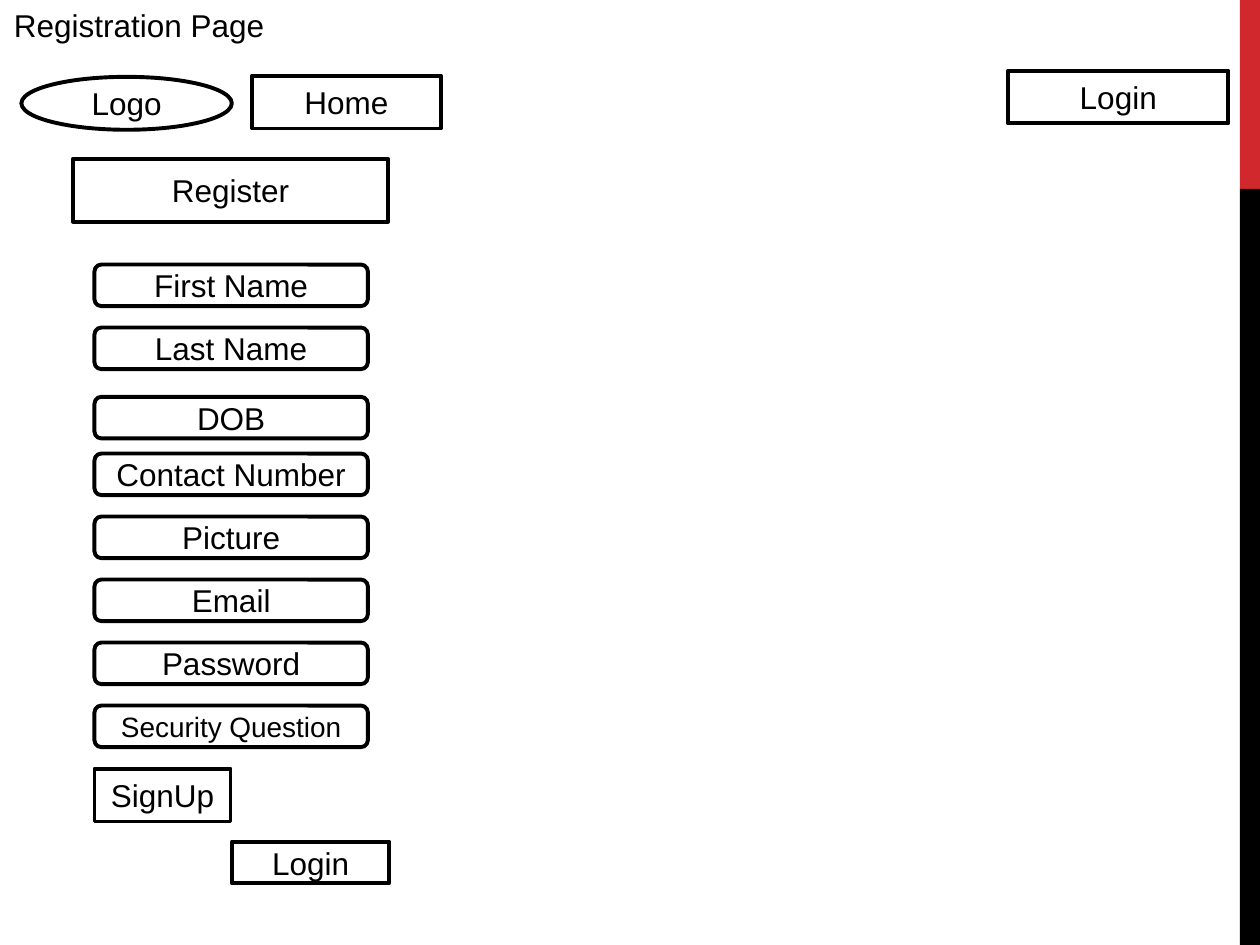
from pptx import Presentation
from pptx.dml.color import RGBColor
from pptx.enum.shapes import MSO_SHAPE
from pptx.enum.text import MSO_ANCHOR, MSO_AUTO_SIZE, PP_ALIGN
from pptx.util import Inches, Pt

RECT = MSO_SHAPE.RECTANGLE
ROUND = MSO_SHAPE.ROUNDED_RECTANGLE
OVAL = MSO_SHAPE.OVAL
CENTER = PP_ALIGN.CENTER
TOP, MIDDLE = MSO_ANCHOR.TOP, MSO_ANCHOR.MIDDLE
NO_FIT = MSO_AUTO_SIZE.NONE

COLORS = {"paper": "FFFFFF", "ink": "000000", "red": "D1282E"}


def color(name):
    return RGBColor.from_string(COLORS[name])


def write(frame, text, size=18, anchor=MIDDLE, wrap=True):
    """Put one centred line of text in a frame."""
    frame.auto_size = NO_FIT
    frame.word_wrap = wrap
    frame.vertical_anchor = anchor
    para = frame.paragraphs[0]
    para.alignment = CENTER
    run = para.add_run()
    run.text = text
    run.font.name = "Arial"
    run.font.size = Pt(size)
    run.font.color.rgb = color("ink")


class Page:
    """Holds the wireframe style and the current slide."""

    line = Pt(2.25)

    def __init__(self, deck):
        self.slide = deck.slides.add_slide(deck.slide_layouts[5])
        fill = self.slide.background.fill
        fill.solid()
        fill.fore_color.rgb = color("paper")

    def title(self, text, x, y, w, h):
        shape = self.slide.shapes.title
        shape.left, shape.top = Inches(x), Inches(y)
        shape.width, shape.height = Inches(w), Inches(h)
        write(shape.text_frame, text, anchor=TOP, wrap=False)

    def shape(self, kind, x, y, w, h, fill):
        shape = self.slide.shapes.add_shape(
            kind, Inches(x), Inches(y), Inches(w), Inches(h))
        shape.shadow.inherit = False
        shape.fill.solid()
        shape.fill.fore_color.rgb = color(fill)
        return shape

    def band(self, x, y, w, h, fill):
        self.shape(RECT, x, y, w, h, fill).line.fill.background()

    def box(self, text, x, y, w, h, kind=RECT, size=18):
        shape = self.shape(kind, x, y, w, h, "paper")
        shape.line.color.rgb = color("ink")
        shape.line.width = self.line
        write(shape.text_frame, text, size=size)


def main():
    deck = Presentation()
    deck.slide_width, deck.slide_height = Inches(10), Inches(7.5)
    page = Page(deck)

    # Side bands
    page.band(9.84, 0, 0.16, 1.5, "red")
    page.band(9.84, 1.5, 0.16, 6, "ink")

    # Top bar
    page.title("Registration Page", 0, 0, 2.21, 0.4)
    page.box("Logo", 0.17, 0.61, 1.67, 0.42, kind=OVAL)
    page.box("Home", 2, 0.6, 1.5, 0.42)
    page.box("Login", 8, 0.56, 1.75, 0.42)

    # Form heading
    page.box("Register", 0.58, 1.26, 2.5, 0.5)

    # Form fields: name, text size, shift from the even row
    fields = [
        ("First Name", 18, 0),
        ("Last Name", 18, 0),
        ("DOB", 18, 0.05),
        ("Contact Number", 18, 0),
        ("Picture", 18, 0),
        ("Email", 18, 0),
        ("Password", 18, 0),
        ("Security Question", 16, 0),
    ]
    for row, (name, size, shift) in enumerate(fields):
        page.box(name, 0.75, 2.1 + 0.5 * row + shift, 2.17, 0.33,
                 kind=ROUND, size=size)

    # Form buttons
    page.box("SignUp", 0.75, 6.1, 1.08, 0.42)
    page.box("Login", 1.84, 6.68, 1.25, 0.33)

    deck.save("out.pptx")


if __name__ == "__main__":
    main()
